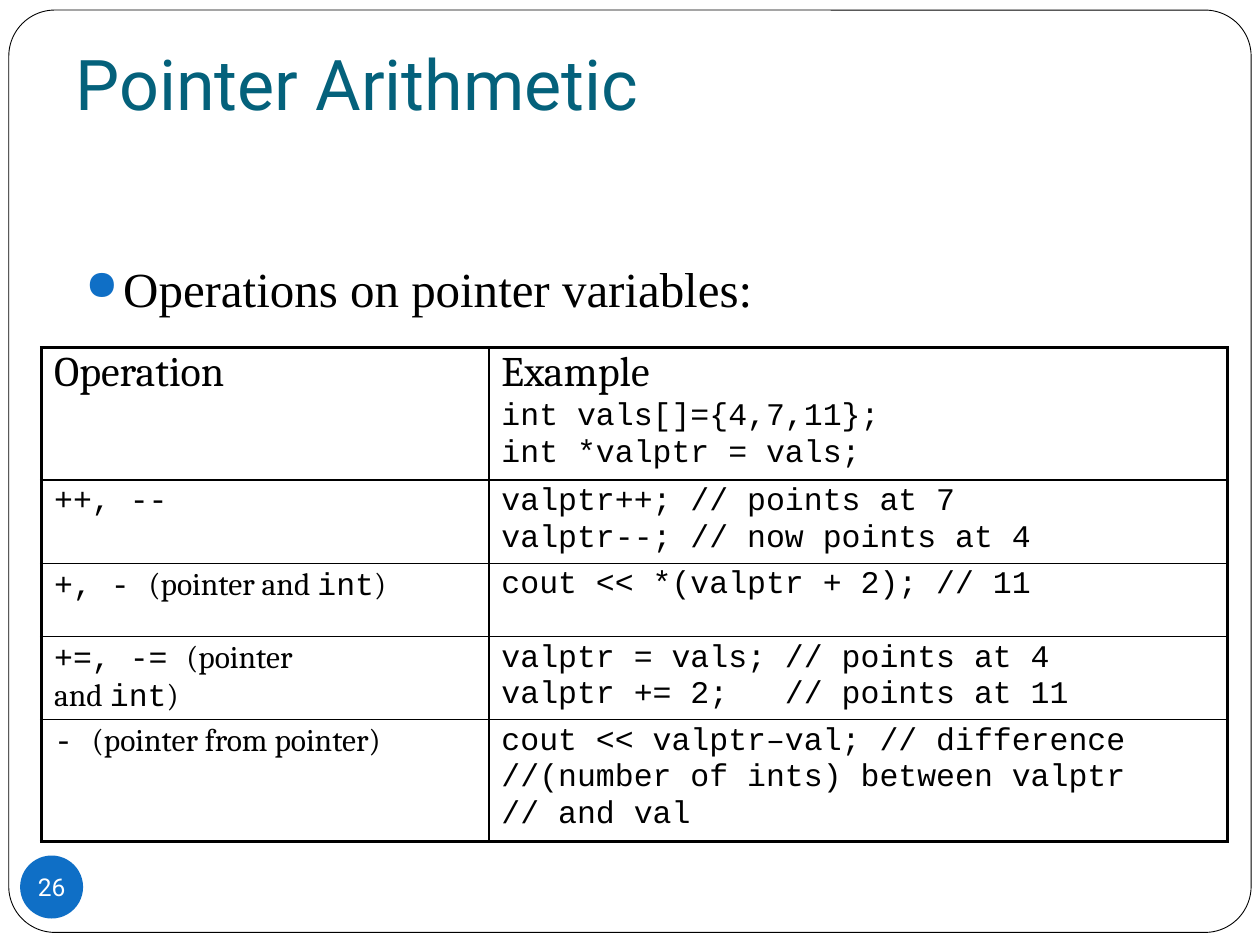
from lxml.etree import SubElement
from pptx import Presentation
from pptx.dml.color import RGBColor
from pptx.enum.shapes import MSO_SHAPE
from pptx.enum.text import MSO_ANCHOR, PP_ALIGN
from pptx.oxml import parse_xml
from pptx.oxml.ns import nsdecls, qn
from pptx.util import Inches, Pt


def tint(code):
    return RGBColor.from_string(code)


def write(para, text, face, size, code):
    run = para.add_run()
    run.text = text
    form = {"name": face, "size": Pt(size), "bold": False}
    for key, val in form.items():
        setattr(run.font, key, val)
    run.font.color.rgb = tint(code)


deck = Presentation()
deck.slide_width, deck.slide_height = Inches(10), Inches(7.5)
wide, high = deck.slide_width, deck.slide_height
slide = deck.slides.add_slide(deck.slide_layouts[5])
shapes = slide.shapes

frame = shapes.add_shape(
    MSO_SHAPE.ROUNDED_RECTANGLE, Inches(0.07), Inches(0.08), Inches(9.86), Inches(7.32)
)
frame.adjustments[0] = 0.05
frame.shadow.inherit = False
frame.fill.solid()
frame.fill.fore_color.rgb = tint("FFFFFF")
frame.line.color.rgb = tint("000000")
frame.line.width = Pt(0.5)
title = shapes.title
title._element.addprevious(frame._element)

place = {
    "left": int(wide * 0.05),
    "top": Inches(0.17),
    "width": int(wide * 0.9),
    "height": Inches(0.92),
}
for key, val in place.items():
    setattr(title, key, val)
form = {
    "vertical_anchor": MSO_ANCHOR.BOTTOM,
    "margin_left": Inches(0.1),
    "margin_right": Inches(0.1),
    "margin_top": Inches(0.05),
    "margin_bottom": Inches(0.1),
}
for key, val in form.items():
    setattr(title.text_frame, key, val)
para = title.text_frame.paragraphs[0]
para.alignment = PP_ALIGN.LEFT
write(para, "Pointer Arithmetic", "Roboto", 40, "04617B")

body = shapes.add_textbox(Inches(0.58), Inches(2), int(wide * 0.85), Inches(0.7))
body.text_frame.word_wrap = True
para = body.text_frame.paragraphs[0]
para.space_before = Pt(5.8)
write(para, "Operations on pointer variables:", "Times New Roman", 28, "000000")
props = para._p.get_or_add_pPr()
props.set("marL", str(Inches(0.3)))
props.set("indent", str(-Inches(0.3)))
color = SubElement(props, qn("a:buClr"))
SubElement(color, qn("a:srgbClr"), val="0F6FC6")
SubElement(props, qn("a:buSzPct"), val="85000")
SubElement(props, qn("a:buChar"), char="●")

# "|" switches between code and prose faces
rows = [
    ("|Operation", "|Example\nint vals[]={4,7,11};\nint *valptr = vals;"),
    ("++, --", "valptr++; // points at 7\nvalptr--; // now points at 4"),
    ("+, - |(pointer and |int|)", "cout << *(valptr + 2); // 11"),
    (
        "+=, -= |(pointer\n|and |int|)",
        "valptr = vals; // points at 4\nvalptr += 2;   // points at 11",
    ),
    (
        "- |(pointer from pointer)",
        "cout << valptr–val; // difference\n"
        "//(number of ints) between valptr\n// and val",
    ),
]
faces = ["Courier New", "Cambria"]
cols = [3.55, 5.86]
tall = [0.58] * 4 + [0.83]
grid = shapes.add_table(
    len(rows), len(cols), Inches(0.33), Inches(2.76), Inches(sum(cols)), Inches(sum(tall))
).table
grid.first_row = grid.horz_banding = False
for col, size in zip(grid.columns, cols):
    col.width = Inches(size)
for row, size in zip(grid.rows, tall):
    row.height = Inches(size)

for r, row in enumerate(rows):
    for c, text in enumerate(row):
        cell = grid.cell(r, c)
        props = cell._tc.get_or_add_tcPr()
        edges = {"L": c == 0, "R": c == 1, "T": r == 0, "B": r == len(rows) - 1}
        for side, outer in edges.items():
            props.append(parse_xml(
                f'<a:ln{side} {nsdecls("a")} w="{Pt(2.25 if outer else 1)}">'
                '<a:solidFill><a:srgbClr val="000000"/></a:solidFill>'
                f'</a:ln{side}>'
            ))
        cell.fill.background()
        for n, line in enumerate(text.split("\n")):
            block = cell.text_frame
            para = block.add_paragraph() if n else block.paragraphs[0]
            para.line_spacing = 0.85
            gap = SubElement(para._p.get_or_add_pPr(), qn("a:spcBef"))
            SubElement(gap, qn("a:spcPct"), val="20000")
            for k, part in enumerate(line.split("|")):
                if part:
                    size = 24 if r == n == 0 else 18
                    write(para, part, faces[k % 2], size, "000000")

badge = shapes.add_shape(
    MSO_SHAPE.OVAL, Inches(0.16), Inches(6.79), Inches(0.5), Inches(0.5)
)
badge.shadow.inherit = False
badge.fill.solid()
badge.fill.fore_color.rgb = tint("0F6FC6")
badge.line.fill.background()
form = {"vertical_anchor": MSO_ANCHOR.MIDDLE, "word_wrap": False}
form.update({f"margin_{side}": 0 for side in ("left", "right", "top", "bottom")})
for key, val in form.items():
    setattr(badge.text_frame, key, val)
para = badge.text_frame.paragraphs[0]
para.alignment = PP_ALIGN.CENTER
write(para, "26", "Roboto", 14, "FFFFFF")

deck.save("out.pptx")
